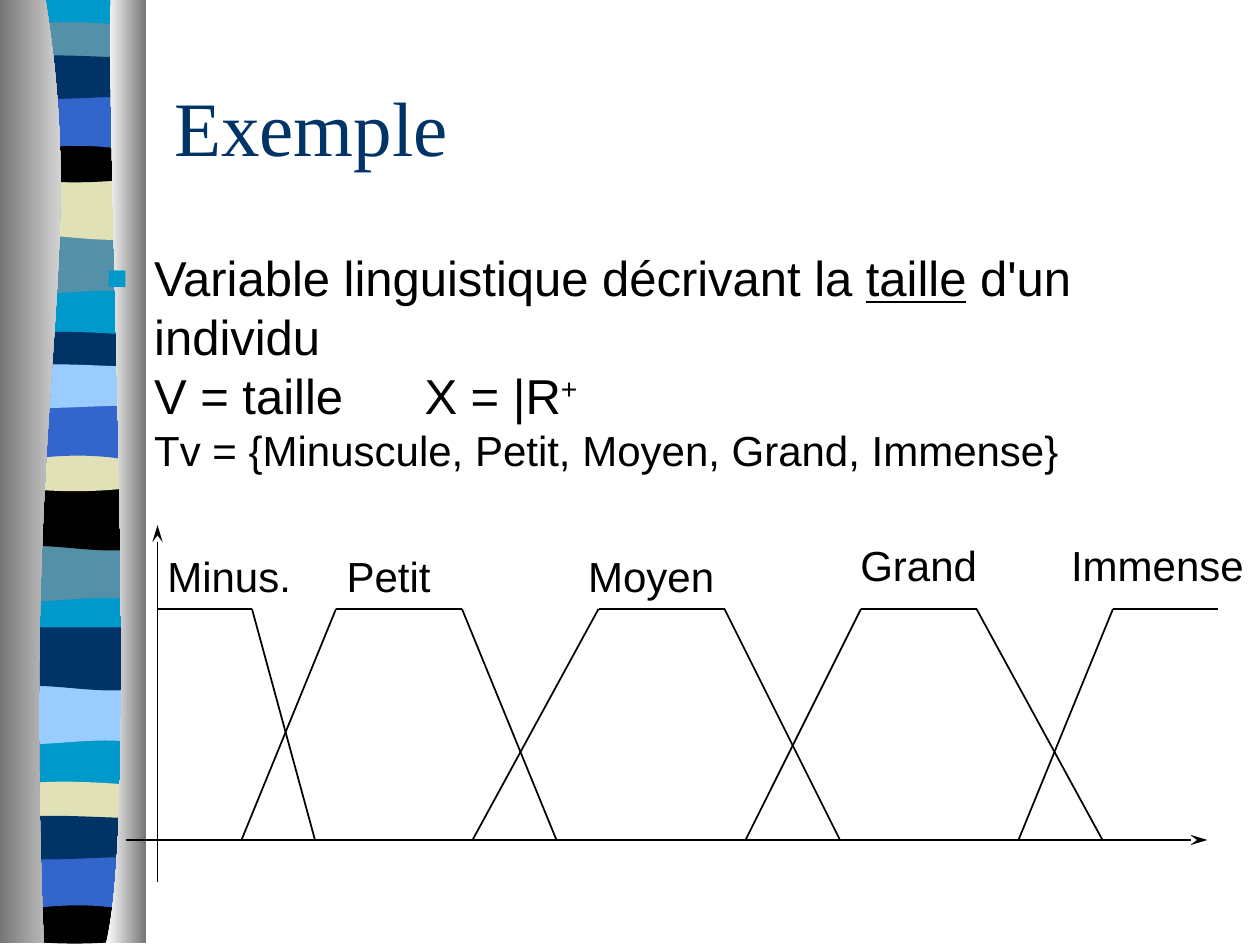
import pptx
import pptx.util
import pptx.dml.color
import pptx.enum.shapes
import pptx.enum.text
import pptx.oxml
import pptx.oxml.ns
from lxml import etree

Pt = pptx.util.Pt
qn = pptx.oxml.ns.qn
CYAN, TEAL, NAVY, BLUE = "0099CC", "5490A8", "003366", "3366CC"
SKY, CREAM, BLACK = "99CCFF", "E1E1B7", "000000"

# Wave shapes: offsets of the four curve points from the edge's height
FLAT, CREST, RISE = None, (0, -4, -2, 0), (0, -3, 0, 0)
DIP, ARCH, BOWL = (0, 3, -1, 0), (0, -5, -6, 0), (0, 3.6, 3.6, 0)
SWAY, FALL = (0, -4, 5, 0), (0, 2, -5, 0)
# Kinds of band: height, top and bottom wave, then (top, colour) of each band
BANDS = [
    (34, FLAT, FALL, [(134, TEAL), (309.5, TEAL), (391, SKY)]),
    (34.5, FLAT, SWAY, [(101, CREAM), (278.5, BLACK), (358.5, NAVY)]),
    (17, CREST, BOWL, [(15, TEAL), (192, NAVY), (449, CREAM)]),
    (24, BOWL, BOWL, [(77.5, BLACK), (254, CREAM), (512.5, BLACK)]),
    (34, FLAT, ARCH, [(53.5, BLUE), (230.5, BLUE), (487.5, BLUE)]),
    (22.5, RISE, DIP, [(33, NAVY), (209.5, SKY), (467.5, NAVY)]),
]
# Fuzzy sets: label, its left, top and width, then x of each corner
SETS = [
    ("Minus.", 88.5, 311, 85, (None, 90, 144, 180)),
    ("Petit", 191, 311, 62.5, (138, 192, 264, 318)),
    ("Moyen", 329, 311, 86.5, (270, 342, 414, 480)),
    ("Grand", 484.5, 304.5, 81.5, (426, 492, 558, 630)),
    ("Immense", 605, 304.5, 113, (582, 636, 696, None)),
]


def tint(code):
    return pptx.dml.color.RGBColor.from_string(code)


def outline(slide, start, *parts):
    """Closed shape; a part of one point is a line, of three a curve."""
    fine = [(x * 100, y * 100) for part in parts for x, y in part]
    pen = slide.shapes.build_freeform(start[0] * 100, start[1] * 100, scale=Pt(1) / 100)
    pen.add_line_segments(fine, close=True)
    shape = pen.convert_to_shape()
    shape.shadow.inherit = False
    shape.line.fill.background()
    # Turn each group of three lines into one curve
    lines = iter(list(shape._element.iter(qn("a:lnTo"))))
    for part in parts:
        group = [next(lines) for _ in part]
        if len(group) == 3:
            bend = etree.Element(qn("a:cubicBezTo"))
            group[0].addprevious(bend)
            for line in group:
                bend.append(line[0])
                line.getparent().remove(line)
    return shape


def paint(shape, code):
    shape.fill.solid()
    shape.fill.fore_color.rgb = tint(code)


def tube(shape, start, end):
    fill = shape.fill
    fill.gradient()
    fill.gradient_angle = 0
    for stop, code, place in zip(fill.gradient_stops, (start, end), (0, 1)):
        stop.color.rgb = tint(code)
        stop.position = place


def edge(near, far, y, wave):
    """Points that follow the first one along a band's edge."""
    if wave is FLAT:
        return [(far, y)]
    step = (far - near) / 3
    return [(near + step * i, y + wave[i]) for i in (1, 2, 3)]


def border(slide, left, top, width, height):
    """Striped column between two shaded tubes."""
    right, foot = left + width, top + height
    near, far = left + 4, right - 2
    # Column and bands
    paint(outline(slide, (near, top), [(far, top)], [(far, foot)], [(near, foot)]), CYAN)
    for tall, upper, lower, spots in BANDS:
        # The lower edge runs back from right to left
        lower = lower[::-1]
        for y, code in spots:
            high, low = top + y, top + y + tall
            band = outline(slide, (near, high), edge(near, far, high, upper),
                           [(far, low)], edge(far, near, low, lower))
            paint(band, code)
    # Left tube, then right tube
    shape = outline(slide, (left + 26, top),
                    [(left + 51, top + 156), (left + 12, top + 213), (left + 25, foot)],
                    [(left, foot)], [(left, top)])
    tube(shape, "767676", "FFFFFF")
    shape = outline(slide, (left + 63.4, top),
                    [(left + 60.5, top + 90), (left + 80, top + 469), (left + 60.5, foot)],
                    [(right, foot)], [(right, top)])
    tube(shape, "FFFFFF", "767676")


def add_run(para, text, size, font="Arial", code=BLACK):
    run = para.add_run()
    run.text = text
    run.font.size = Pt(size)
    run.font.name = font
    run.font.color.rgb = tint(code)
    return run


def add_box(slide, left, top, width, height, wrap=True):
    box = slide.shapes.add_textbox(Pt(left), Pt(top), Pt(width), Pt(height))
    box.text_frame.word_wrap = wrap
    return box.text_frame


def title(slide, *area):
    frame = add_box(slide, *area)
    frame.vertical_anchor = pptx.enum.text.MSO_ANCHOR.BOTTOM
    add_run(frame.paragraphs[0], "Exemple", 44, "Times New Roman", NAVY)


def body(slide, *area):
    para = add_box(slide, *area).paragraphs[0]
    # Square bullet, hanging indent and one tab stop
    props = para._p.get_or_add_pPr()
    props.set("marL", str(Pt(27)))
    props.set("indent", str(-Pt(27)))
    hue = etree.SubElement(props, qn("a:buClr"))
    etree.SubElement(hue, qn("a:srgbClr"), val=CYAN)
    etree.SubElement(props, qn("a:buSzPct"), val="70000")
    etree.SubElement(props, qn("a:buFont"), typeface="Arial")
    etree.SubElement(props, qn("a:buChar"), char="■")
    tabs = etree.SubElement(props, qn("a:tabLst"))
    etree.SubElement(tabs, qn("a:tab"), pos=str(Pt(181.5)), algn="l")
    # Text
    add_run(para, "Variable linguistique décrivant la ", 28)
    add_run(para, "taille", 28).font.underline = True
    add_run(para, " d'un individu", 28)
    para.add_line_break()
    add_run(para, "V = taille\tX = |R", 28)
    add_run(para, "+", 28).font._element.set("baseline", "30000")
    para.add_line_break()
    add_run(para, "Tv = {Minuscule, Petit, Moyen, Grand, Immense}", 24)


def add_line(slide, start, end, arrow=False):
    kind = pptx.enum.shapes.MSO_CONNECTOR.STRAIGHT
    line = slide.shapes.add_connector(kind, *map(Pt, start + end))
    line.line.width = Pt(1)
    line.line.color.rgb = tint(BLACK)
    etree.SubElement(line._element.spPr, qn("a:effectLst"))
    if arrow:
        etree.SubElement(line.line._get_or_add_ln(), qn("a:tailEnd"),
                         type="stealth", w="med", len="lg")


def graph(slide, left, top, width, height):
    """Axes and membership functions."""
    right, foot = left + width, top + height
    base, peak = foot - 24, top + 48
    # Axes
    add_line(slide, (left + 18, foot), (left + 18, top), True)
    add_line(slide, (left, base), (right, base), True)
    # Sets and their labels
    for name, x, y, wide, xs in SETS:
        pts = [p for p in zip(xs, (base, peak, peak, base)) if p[0] is not None]
        for start, end in zip(pts, pts[1:]):
            add_line(slide, start, end)
        frame = add_box(slide, x, y, wide, 36, wrap=False)
        add_run(frame.paragraphs[0], name, 24)


def main():
    deck = pptx.Presentation()
    deck.slide_width, deck.slide_height = Pt(720), Pt(540)
    slide = deck.slides.add_slide(deck.slide_layouts[6])
    border(slide, 0, 0, 83.5, 539)
    title(slide, 92.5, 42, 612, 60)
    body(slide, 54, 138, 660, 378)
    graph(slide, 72, 300, 618, 204)
    deck.save("out.pptx")


if __name__ == "__main__":
    main()
